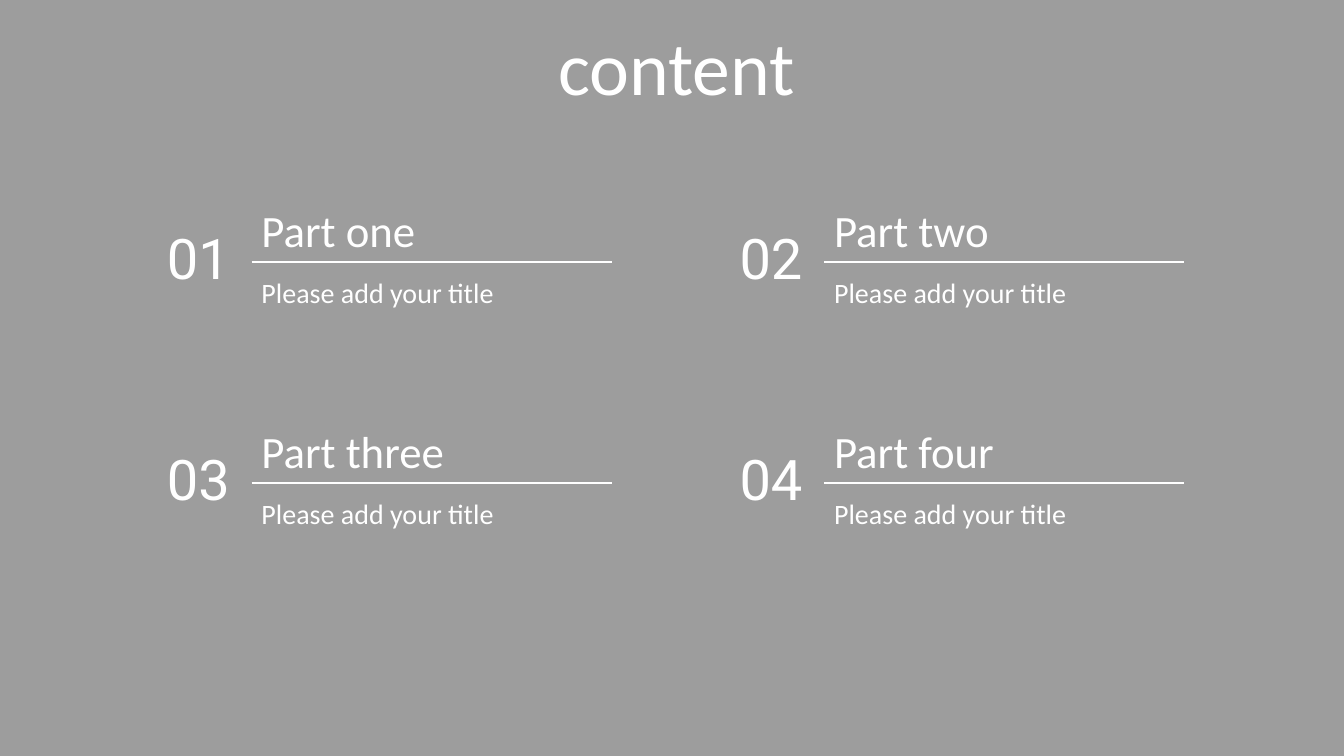
from lxml.etree import SubElement
from pptx import Presentation
from pptx.dml.color import RGBColor
from pptx.enum.shapes import MSO_CONNECTOR as Connector, MSO_SHAPE as Shape
from pptx.enum.text import MSO_ANCHOR as Anchor, MSO_AUTO_SIZE as AutoSize, PP_ALIGN as Align
from pptx.oxml.ns import qn
from pptx.util import Cm, Pt

HEADING = "content"
PARTS = [
    ("01", "Part one", 5.0, "Please add your title"),
    ("02", "Part two", 5.0, "Please add your title"),
    ("03", "Part three", 5.97, "Please add your title"),
    ("04", "Part four", 5.51, "Please add your title"),
]
COLORS = {"text": "FFFFFF", "overlay": "262626"}
OVERLAY_OPACITY = 45

SLIDE_W, SLIDE_H = 33.87, 19.05
COLUMNS = 2
LEFT, TOP = 3.66, 4.98
COLUMN_STEP, ROW_STEP = 14.43, 5.57
NUMBER_W = 2.68
RULE_W, RULE_DROP = 9.08, 1.62


def color(name):
    return RGBColor.from_string(COLORS[name])


def write(holder, text, size, font, align=Align.LEFT):
    frame = holder.text_frame
    frame.text = text
    frame.word_wrap = True
    frame.auto_size = AutoSize.NONE
    frame.vertical_anchor = Anchor.TOP
    paragraph = frame.paragraphs[0]
    paragraph.alignment = align
    run_font = paragraph.runs[0].font
    run_font.size = Pt(size)
    run_font.name = font
    run_font.color.rgb = color("text")


def add_label(group, left, top, width, height, *style):
    label = group.shapes.add_textbox(Cm(left), Cm(top), Cm(width), Cm(height))
    write(label, *style)


def add_rule(group, left, top):
    rule = group.shapes.add_connector(
        Connector.STRAIGHT, Cm(left), Cm(top), Cm(left + RULE_W), Cm(top))
    rule.line.color.rgb = color("text")
    rule.line.width = Pt(1)
    SubElement(rule.element.spPr, qn("a:effectLst"))


def add_part(slide, index, number, name, name_width, caption):
    row, column = divmod(index, COLUMNS)
    left = LEFT + column * COLUMN_STEP
    top = TOP + row * ROW_STEP
    text_left = left + NUMBER_W
    group = slide.shapes.add_group_shape()
    add_label(group, left, top + 0.52, NUMBER_W, 1.96, number, 40, "Roboto", Align.CENTER)
    add_label(group, text_left, top, name_width, 1.62, name, 32, "Calibri")
    add_rule(group, text_left, top + RULE_DROP)
    add_label(group, text_left, top + 1.83, 10.36, 1.12, caption, 20, "Calibri")


def add_overlay(slide):
    overlay = slide.shapes.add_shape(Shape.RECTANGLE, 0, 0, Cm(SLIDE_W), Cm(SLIDE_H))
    overlay.shadow.inherit = False
    overlay.line.fill.background()
    overlay.fill.solid()
    overlay.fill.fore_color.rgb = color("overlay")
    tint = overlay.element.spPr.find(qn("a:solidFill"))[0]
    SubElement(tint, qn("a:alpha"), val=str(OVERLAY_OPACITY * 1000))
    return overlay


def main():
    deck = Presentation()
    deck.slide_width, deck.slide_height = Cm(SLIDE_W), Cm(SLIDE_H)
    slide = deck.slides.add_slide(deck.slide_layouts[5])
    title = slide.shapes.title
    title.left, title.top, title.width, title.height = Cm(13.31), Cm(0.38), Cm(7.47), Cm(2.57)
    write(title, HEADING, 54, "Calibri", Align.CENTER)
    title.element.addprevious(add_overlay(slide).element)
    for index, part in enumerate(PARTS):
        add_part(slide, index, *part)
    deck.save("out.pptx")


if __name__ == "__main__":
    main()
